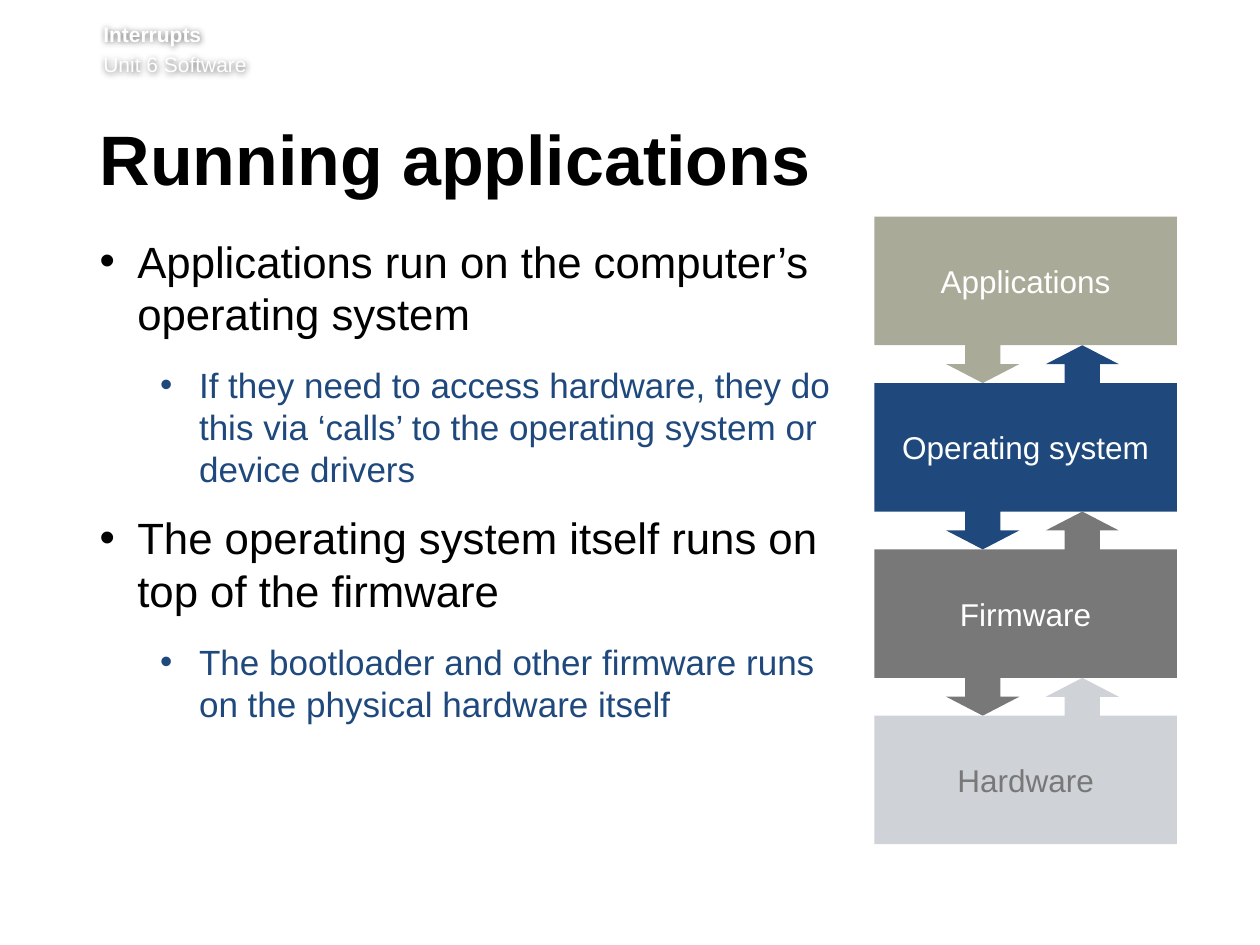
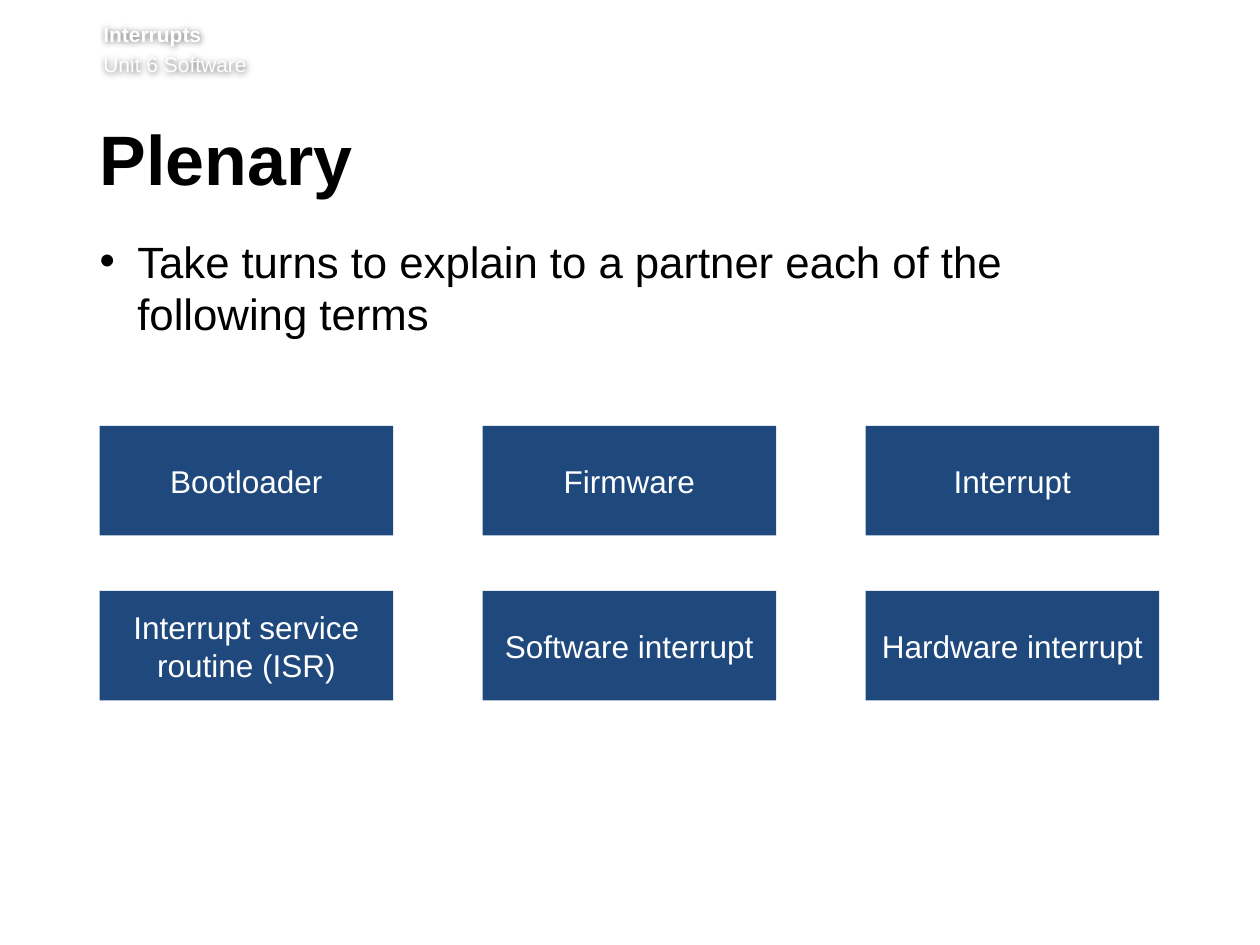
from dataclasses import dataclass

from lxml.etree import SubElement
from pptx import Presentation
from pptx.dml.color import RGBColor
from pptx.enum.shapes import MSO_SHAPE
from pptx.enum.text import MSO_ANCHOR, MSO_AUTO_SIZE, PP_ALIGN
from pptx.oxml.ns import qn
from pptx.util import Inches, Pt


@dataclass(frozen=True)
class Theme:
    font: str = "Arial"
    black: str = "000000"
    white: str = "FFFFFF"
    blue: str = "1F497D"
    sand: str = "AAAA98"
    grey: str = "787878"
    pale: str = "CFD2D7"
    title_size: int = 40
    body_size: int = 25
    sub_size: int = 20
    box_size: int = 18
    header_size: int = 12
    left: float = 0.79


THEME = Theme()


def write(p, text, size, color=THEME.black, bold=False, align=PP_ALIGN.LEFT,
          before=0, after=0, line=None):
    """Put formatted text into a paragraph."""
    p.alignment = align
    p.space_before, p.space_after = Pt(before), Pt(after)
    if line:
        p.line_spacing = line
    r = p.add_run()
    r.text = text
    r.font.name, r.font.size, r.font.bold = THEME.font, Pt(size), bold
    r.font.color.rgb = RGBColor.from_string(color)


def set_frame(tf, left=0.1, top=0.05, right=0.1, bottom=0.05, anchor=MSO_ANCHOR.TOP):
    tf.word_wrap, tf.auto_size = True, MSO_AUTO_SIZE.NONE
    tf.margin_left, tf.margin_top = Inches(left), Inches(top)
    tf.margin_right, tf.margin_bottom = Inches(right), Inches(bottom)
    tf.vertical_anchor = anchor


def add_bullet(p, left, hang):
    pPr = p._p.get_or_add_pPr()
    pPr.set("marL", str(Inches(left)))
    pPr.set("indent", str(-Inches(hang)))
    SubElement(pPr, qn("a:buFont"), typeface=THEME.font)
    SubElement(pPr, qn("a:buChar"), char="•")


def add_halo(sp):
    """Soft dark shadow that keeps white text readable."""
    effects = SubElement(sp._element.spPr, qn("a:effectLst"))
    shadow = SubElement(effects, qn("a:outerShdw"), blurRad=str(Pt(4)), dist="0")
    color = SubElement(shadow, qn("a:srgbClr"), val=THEME.black)
    SubElement(color, qn("a:alpha"), val="60000")


class Deck:
    def __init__(self, theme):
        self.t = theme
        self.prs = Presentation()
        self.prs.slide_width, self.prs.slide_height = Inches(10), Inches(7.5)
        self.s = None

    def slide(self, title):
        self.s = self.prs.slides.add_slide(self.prs.slide_layouts[5])
        self.header("Interrupts", "Unit 6 Software")
        sp = self.s.shapes.title
        sp.left, sp.top = Inches(self.t.left), Inches(0.99)
        sp.width, sp.height = Inches(8.55), Inches(0.73)
        set_frame(sp.text_frame, left=0)
        write(sp.text_frame.paragraphs[0], title, self.t.title_size, bold=True,
              after=15, line=Pt(39))

    def textbox(self, x, y, w, h, **margins):
        sp = self.s.shapes.add_textbox(Inches(x), Inches(y), Inches(w), Inches(h))
        set_frame(sp.text_frame, **margins)
        return sp

    def header(self, topic, unit):
        sp = self.textbox(0.82, 0.17, 8.82, 0.49, left=0, top=0, right=0)
        tf = sp.text_frame
        write(tf.paragraphs[0], topic, self.t.header_size, self.t.white, bold=True)
        write(tf.add_paragraph(), unit, self.t.header_size, self.t.white, before=2.9)
        add_halo(sp)

    def bullets(self, items, width):
        """Items are (level, text) pairs."""
        tf = self.textbox(self.t.left, 1.86, width, 5.64, left=0, top=0).text_frame
        for i, (level, text) in enumerate(items):
            p = tf.add_paragraph() if i else tf.paragraphs[0]
            p.level = level
            if level:
                add_bullet(p, 0.79, 0.31)
                write(p, text, self.t.sub_size, self.t.blue, after=12)
            else:
                add_bullet(p, 0.3, 0.3)
                write(p, text, self.t.body_size, after=14)

    def fill_box(self, sp, text, fill, color, **margins):
        sp.shadow.inherit = False
        sp.fill.solid()
        sp.fill.fore_color.rgb = RGBColor.from_string(fill)
        sp.line.fill.background()
        set_frame(sp.text_frame, anchor=MSO_ANCHOR.MIDDLE, **margins)
        write(sp.text_frame.paragraphs[0], text, self.t.box_size, color,
              align=PP_ALIGN.CENTER)

    def box(self, text, x, y, w, h):
        sp = self.s.shapes.add_shape(MSO_SHAPE.RECTANGLE, Inches(x), Inches(y),
                                     Inches(w), Inches(h))
        self.fill_box(sp, text, self.t.blue, self.t.white)

    def layer(self, text, x, y, w, h, gap, fill, color, up, down):
        """Block whose arrows reach across the gap to its neighbours."""
        def arrow(center, base, tip):
            neck = (base + tip) / 2
            side = 1 if tip > base else -1
            offsets = [(0.14, base), (0.14, neck), (0.29, neck), (0, tip),
                       (-0.29, neck), (-0.14, neck), (-0.14, base)]
            return [(center + side * dx, py) for dx, py in offsets]

        points = [(x, y)]
        if up:
            points += arrow(x + 1.65, y, y - gap)
        points += [(x + w, y), (x + w, y + h)]
        if down:
            points += arrow(x + 0.86, y + h, y + h + gap)
        points.append((x, y + h))
        start, *rest = [(Inches(px), Inches(py)) for px, py in points]
        builder = self.s.shapes.build_freeform(*start)
        builder.add_line_segments(rest, close=True)
        # Insets keep the label centred on the block, not on its arrows
        self.fill_box(builder.convert_to_shape(), text, fill, color,
                      top=0.05 + gap * up, bottom=0.05 + gap * down)


def running_applications(deck):
    t = deck.t
    deck.slide("Running applications")
    deck.bullets([
        (0, "Applications run on the computer’s operating system"),
        (1, "If they need to access hardware, they do this via ‘calls’ to the "
            "operating system or device drivers"),
        (0, "The operating system itself runs on top of the firmware"),
        (1, "The bootloader and other firmware runs on the physical hardware itself"),
    ], width=5.94)

    # Stack of layers linked by arrows
    layers = [("Applications", t.sand, t.white), ("Operating system", t.blue, t.white),
              ("Firmware", t.grey, t.white), ("Hardware", t.pale, t.grey)]
    height, gap = 1.02, 0.3
    for i, (name, fill, color) in enumerate(layers):
        deck.layer(name, 6.94, 1.72 + i * (height + gap), 2.4, height, gap, fill, color,
                   up=i > 0, down=i < len(layers) - 1)


def plenary(deck):
    deck.slide("Plenary")
    deck.bullets([(0, "Take turns to explain to a partner each of the following terms")],
                 width=8.53)

    # Grid of terms
    terms = ["Bootloader", "Firmware", "Interrupt", "Interrupt service routine (ISR)",
             "Software interrupt", "Hardware interrupt"]
    for i, term in enumerate(terms):
        row, col = divmod(i, 3)
        deck.box(term, deck.t.left + col * 3.04, 3.38 + row * 1.31, 2.33, 0.87)


def main():
    deck = Deck(THEME)
    running_applications(deck)
    plenary(deck)
    deck.prs.save("out.pptx")


if __name__ == "__main__":
    main()
